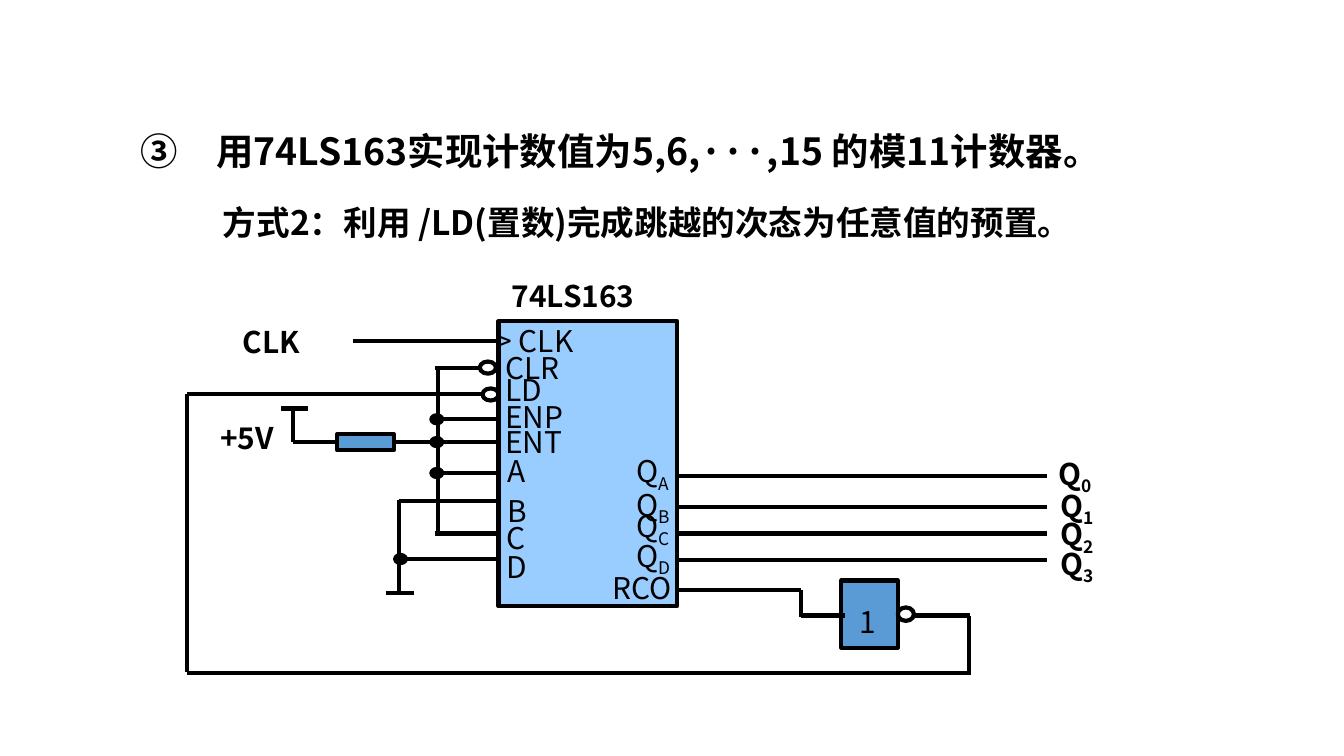
import pptx
import pptx.util
import pptx.dml.color
import pptx.enum.shapes
import pptx.enum.text
import pptx.oxml.ns
from lxml import etree

COLORS = {"ink": "000000", "chip": "99CCFF", "part": "5B9BD5"}
SHAPE = pptx.enum.shapes.MSO_SHAPE
qn = pptx.oxml.ns.qn


def length(inches):
    return pptx.util.Cm(inches * 2.54)


def rgb(name):
    return pptx.dml.color.RGBColor.from_string(COLORS[name])


class Diagram:
    """Circuit style and the current slide; positions are in inches."""
    label_font = "Noto Sans CJK SC"
    heading_font = "Noto Sans CJK JP"
    line_width = pptx.util.Pt(2.25)

    def __init__(self, slide):
        self.slide = slide

    def text(self, x, y, w, h, text, sub="", size=16, bold=False, font=None):
        sp = self.slide.shapes.add_textbox(*map(length, (x, y, w, h)))
        tf = sp.text_frame
        tf.word_wrap = True
        tf.auto_size = pptx.enum.text.MSO_AUTO_SIZE.SHAPE_TO_FIT_TEXT
        p = tf.paragraphs[0]
        p.text = text
        if sub:
            p.add_run().text = sub
            p.runs[1].font._element.set("baseline", "-25000")
        for r in p.runs:
            r.font.size = pptx.util.Pt(size)
            r.font.bold = bold
            r.font.name = font or self.label_font
            r.font.color.rgb = rgb("ink")
            ea = etree.SubElement(r.font._element, qn("a:ea"))
            ea.set("typeface", r.font.name)
        return sp

    def numbered_heading(self, x, y, w, h, text, number):
        sp = self.text(x, y, w, h, text, size=20, bold=True, font=self.heading_font)
        sp.text_frame.auto_size = pptx.enum.text.MSO_AUTO_SIZE.NONE
        p = sp.text_frame.paragraphs[0]
        p.line_spacing = 0.9
        pPr = p._p.get_or_add_pPr()
        indent = length(0.56)
        pPr.set("marL", str(indent))
        pPr.set("indent", str(-indent))
        bullet = etree.SubElement(pPr, qn("a:buAutoNum"))
        bullet.set("type", "circleNumDbPlain")
        bullet.set("startAt", str(number))

    def shape(self, kind, x, y, w, h, fill=None):
        sp = self.slide.shapes.add_shape(kind, *map(length, (x, y, w, h)))
        sp.shadow.inherit = False
        if fill:
            sp.fill.solid()
            sp.fill.fore_color.rgb = rgb(fill)
        else:
            sp.fill.background()
        sp.line.color.rgb = rgb("ink")
        sp.line.width = self.line_width

    def box(self, x, y, w, h, fill):
        self.shape(SHAPE.RECTANGLE, x, y, w, h, fill)

    def bubble(self, x, y, h=0.09):
        self.shape(SHAPE.OVAL, x, y, 0.12, h)

    def junction(self, x, y):
        self.shape(SHAPE.OVAL, x, y, 0.08, 0.06, "ink")

    def wire(self, x1, y1, x2, y2):
        line = self.slide.shapes.add_connector(
            pptx.enum.shapes.MSO_CONNECTOR.STRAIGHT, *map(length, (x1, y1, x2, y2)))
        line.line.color.rgb = rgb("ink")
        line.line.width = self.line_width
        etree.SubElement(line._element.spPr, qn("a:effectLst"))


def main():
    # Widescreen 16:9 slide
    prs = pptx.Presentation()
    prs.slide_width, prs.slide_height = length(10), length(10 * 9 / 16)
    d = Diagram(prs.slides.add_slide(prs.slide_layouts[6]))

    # Headings
    d.numbered_heading(0.95, 0.94, 9.41, 0.81,
                       "用74LS163实现计数值为5,6,···,15 的模11计数器。", 3)
    d.text(1.56, 1.45, 9.42, 0.4, "方式2：利用 /LD(置数)完成跳越的次态为任意值的预置。",
           size=18, bold=True, font=d.heading_font)

    # Counter, pull-up resistor and inverter bodies
    d.box(3.71, 2.39, 1.33, 2.12, "chip")
    d.box(2.51, 3.23, 0.42, 0.12, "part")
    d.box(6.26, 4.32, 0.42, 0.5, "part")

    # Input wires: (start x, y, end x)
    for x1, y, x2 in [(2.63, 2.54, 3.71), (3.24, 2.74, 3.58), (1.39, 2.93, 3.6),
                      (3.22, 3.12, 3.71), (2.94, 3.29, 3.71), (3.26, 3.52, 3.71),
                      (2.97, 3.73, 3.71), (3.24, 3.97, 3.71), (2.97, 4.16, 3.71)]:
        d.wire(x1, y, x2, y)
    d.wire(3.26, 2.73, 3.26, 3.97)

    # Supply and ground
    d.wire(2.09, 3.04, 2.29, 3.04)
    d.wire(2.18, 3.05, 2.18, 3.29)
    d.wire(2.18, 3.29, 2.51, 3.29)
    d.wire(2.97, 3.72, 2.97, 4.41)
    d.wire(2.87, 4.41, 3.08, 4.41)

    # Output wires with their pin and signal labels
    outputs = [("A", 3.54, 3.32, 7.78, 3.34), ("B", 3.77, 3.57, 7.79, 3.58),
               ("C", 3.97, 3.73, 7.79, 3.79), ("D", 4.17, 3.95, 7.79, 4.01)]
    for i, (pin, wire_y, pin_y, signal_x, signal_y) in enumerate(outputs):
        d.wire(5.04, wire_y, 7.79, wire_y)
        d.text(4.64, pin_y, 0.72, 0.37, "Q", pin)
        d.text(signal_x, signal_y, 0.75, 0.37, "Q", str(i), bold=True)

    # Carry output through the inverter and back to LD
    feedback = [(5.04, 4.39, 5.96, 4.39), (5.96, 4.39, 5.96, 4.59),
                (5.96, 4.58, 6.29, 4.58), (6.81, 4.58, 7.22, 4.58),
                (7.21, 4.58, 7.21, 5.02), (1.39, 5.01, 7.22, 5.01),
                (1.39, 2.93, 1.39, 5)]
    for ends in feedback:
        d.wire(*ends)

    # Inversion bubbles and wire junctions
    d.bubble(3.57, 2.69)
    d.bubble(3.59, 2.89)
    d.bubble(6.68, 4.52, 0.1)
    for x, y in [(3.21, 3.09), (3.21, 3.26), (3.21, 3.49), (2.94, 4.13)]:
        d.junction(x, y)

    # Pin labels
    d.text(3.59, 2.35, 1.08, 0.37, "> CLK")
    for name, x, y in [("CLR", 3.66, 2.55), ("LD", 3.66, 2.72), ("ENP", 3.66, 2.92),
                       ("ENT", 3.66, 3.1), ("A", 3.68, 3.32), ("B", 3.68, 3.62),
                       ("C", 3.67, 3.82), ("D", 3.67, 4.03), ("RCO", 4.46, 4.19)]:
        d.text(x, y, 0.72, 0.37, name)
    d.text(6.3, 4.44, 0.42, 0.37, "1")

    # Part name and external signals
    for name, x, y, w in [("74LS163", 3.71, 2.02, 1.42), ("CLK", 1.71, 2.36, 0.83),
                          ("+5V", 1.54, 3.07, 0.83)]:
        d.text(x, y, w, 0.37, name, bold=True)

    prs.save("out.pptx")


if __name__ == "__main__":
    main()
